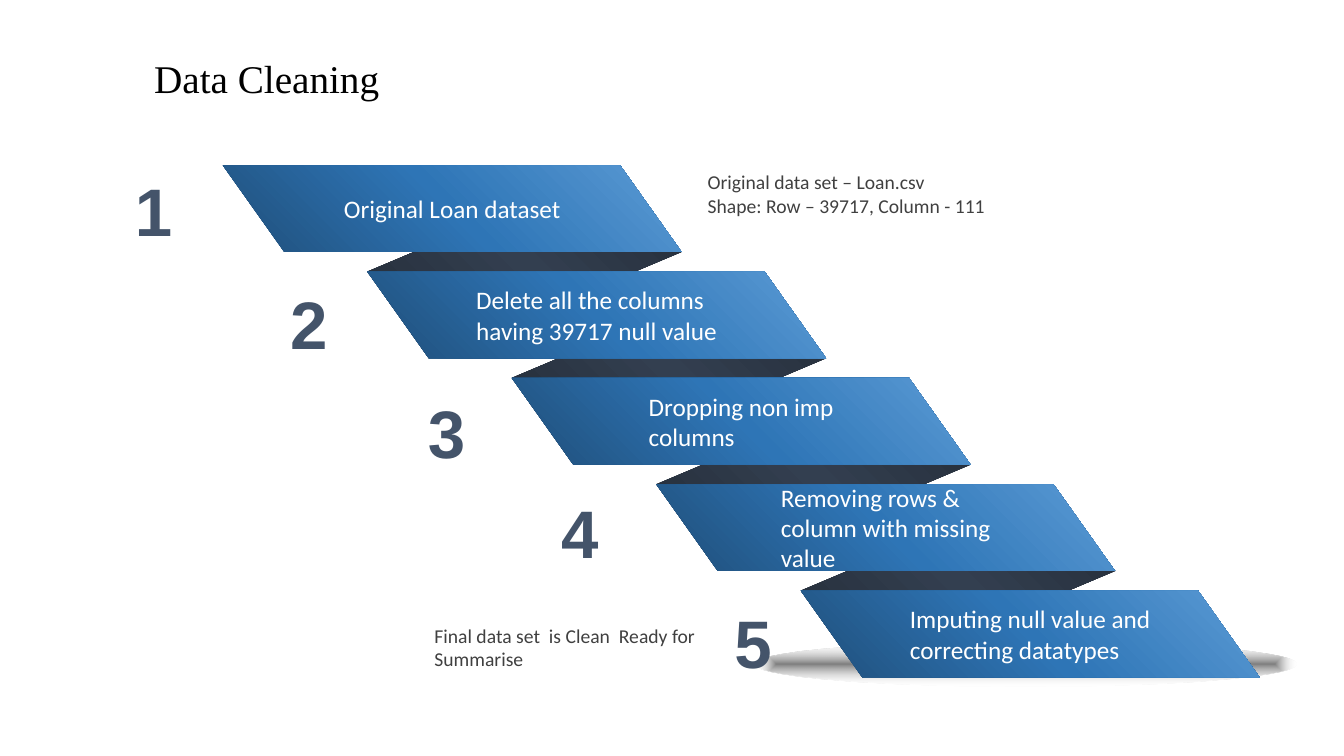
from lxml import etree
from pptx import Presentation
from pptx.dml.color import RGBColor
from pptx.enum import shapes, text
from pptx.oxml import ns
from pptx.util import Inches, Pt

BLACK = RGBColor(0x00, 0x00, 0x00)
WHITE = RGBColor(0xFF, 0xFF, 0xFF)
SLATE = RGBColor(0x44, 0x54, 0x6A)
GRAY = RGBColor(0x40, 0x40, 0x40)
SHADOW_GRAY = RGBColor(0x80, 0x80, 0x80)
NAVY = RGBColor(0x1F, 0x4E, 0x79)
BLUE = RGBColor(0x2E, 0x75, 0xB6)
SKY = RGBColor(0x5B, 0x9B, 0xD5)
FOLD_EDGE = RGBColor(0x22, 0x2A, 0x35)
FOLD_MIDDLE = RGBColor(0x33, 0x3F, 0x50)

FIRST_LEFT, FIRST_TOP = 2.21, 1.64
STEP_RIGHT, STEP_DOWN = 1.433, 1.055
FACE_WIDTH, FACE_HEIGHT, SLANT = 3.94, 0.86, 0.61

# Step wording, then left, top and width of its number
STEPS = [
    ("Original Loan dataset", 1.24, 1.63, 0.49),
    ("Delete all the columns having 39717 null value", 2.78, 2.75, 0.56),
    ("Dropping non imp columns", 4.14, 3.83, 0.58),
    ("Removing rows & column with missing value ", 5.46, 4.82, 0.58),
    ("Imputing null value and correcting datatypes", 7.18, 5.92, 0.58),
]


def add_run(paragraph, wording, font="Calibri", size=18, color=WHITE, bold=False):
    """Append a formatted run to a paragraph."""
    run = paragraph.add_run()
    run.text = wording
    run.font.name = font
    run.font.size = Pt(size)
    run.font.bold = bold
    run.font.color.rgb = color


def add_label(slide, box, lines, align=text.PP_ALIGN.LEFT, wrap=True, **style):
    """Add a text box with one paragraph for each line."""
    frame = slide.shapes.add_textbox(*map(Inches, box)).text_frame
    frame.word_wrap = wrap
    for index, line in enumerate(lines):
        paragraph = frame.add_paragraph() if index else frame.paragraphs[0]
        paragraph.alignment = align
        add_run(paragraph, line, **style)


def set_gradient(shape, colors, radial=False):
    """Fill a shape with evenly spaced colours; a radial fill fades out."""
    shape.shadow.inherit = False
    shape.line.fill.background()
    shape.fill.background()
    gradient = etree.Element(ns.qn("a:gradFill"), rotWithShape="1")
    stops = etree.SubElement(gradient, ns.qn("a:gsLst"))
    for index, color in enumerate(colors):
        position = 100000 * index // (len(colors) - 1)
        stop = etree.SubElement(stops, ns.qn("a:gs"), pos=str(position))
        value = etree.SubElement(stop, ns.qn("a:srgbClr"), val=str(color))
    if radial:
        etree.SubElement(value, ns.qn("a:alpha"), val="0")
        route = etree.SubElement(gradient, ns.qn("a:path"))
        route.set("path", "shape")
        sides = dict.fromkeys("ltrb", "50000")
        etree.SubElement(route, ns.qn("a:fillToRect"), **sides)
    else:
        etree.SubElement(gradient, ns.qn("a:lin"), ang=str(315 * 60000), scaled="0")
    properties = shape.element.spPr
    properties.replace(properties.find(ns.qn("a:noFill")), gradient)


def add_ribbon(slide, points, colors):
    """Draw a closed ribbon piece through the given points."""
    start, *others = [(Inches(x), Inches(y)) for x, y in points]
    builder = slide.shapes.build_freeform(*start)
    builder.add_line_segments(others, close=True)
    shape = builder.convert_to_shape()
    set_gradient(shape, colors)
    return shape


def face_corners(index):
    """Return the corners of a step, clockwise from the top left."""
    left = FIRST_LEFT + STEP_RIGHT * index
    top = FIRST_TOP + STEP_DOWN * index
    right, bottom = left + FACE_WIDTH, top + FACE_HEIGHT
    return [(left, top), (right, top), (right + SLANT, bottom), (left + SLANT, bottom)]


def add_fold(slide, index):
    """Add the dark fold that joins a step to the next one."""
    upper, lower = face_corners(index), face_corners(index + 1)
    points = [upper[1], upper[2], lower[3], lower[0]]
    add_ribbon(slide, points, [FOLD_EDGE, FOLD_MIDDLE, FOLD_EDGE])


def add_face(slide, index, wording):
    """Add the blue face of a step with its wording."""
    shape = add_ribbon(slide, face_corners(index), [NAVY, BLUE, SKY])
    frame = shape.text_frame
    frame.word_wrap = True
    frame.vertical_anchor = text.MSO_ANCHOR.MIDDLE
    frame.margin_left = frame.margin_right = Inches(1)
    frame.margin_top = frame.margin_bottom = Inches(0.1)
    shape.element.txBody.bodyPr.set("anchorCtr", "1")
    paragraph = frame.paragraphs[0]
    paragraph.alignment = text.PP_ALIGN.LEFT
    add_run(paragraph, wording)


def add_title(slide):
    """Place and format the slide title."""
    title = slide.shapes.title
    title.left, title.top = Inches(1.29), Inches(0.28)
    title.width, title.height = Inches(10.19), Inches(0.94)
    frame = title.text_frame
    frame.vertical_anchor = text.MSO_ANCHOR.MIDDLE
    paragraph = frame.paragraphs[0]
    paragraph.alignment = text.PP_ALIGN.LEFT
    paragraph.line_spacing = 0.9
    style = {"font": "Times New Roman", "color": BLACK}
    add_run(paragraph, " ", size=40, bold=True, **style)
    add_run(paragraph, "Data Cleaning", size=28, **style)


def main():
    """Build the slide and save it."""
    presentation = Presentation()
    presentation.slide_width = Inches(13.33)
    presentation.slide_height = Inches(7.5)
    slide = presentation.slides.add_slide(presentation.slide_layouts[5])
    add_title(slide)

    for index in range(len(STEPS) - 1):
        add_fold(slide, index)
    ground = slide.shapes.add_shape(
        shapes.MSO_SHAPE.OVAL, *map(Inches, (7.48, 6.37, 5.38, 0.44)))
    set_gradient(ground, [SHADOW_GRAY, WHITE], radial=True)

    for index, (wording, left, top, width) in enumerate(STEPS):
        add_face(slide, index, wording)
        add_label(slide, (left, top, width, 0.91), [str(index + 1)],
                  align=text.PP_ALIGN.CENTER, wrap=False,
                  font="Arial", size=48, color=SLATE, bold=True)

    add_label(slide, (6.92, 1.64, 3.77, 0.57),
              ["Original data set – Loan.csv", "Shape: Row – 39717, Column - 111"],
              size=14, color=GRAY)
    add_label(slide, (4.21, 6.14, 3.26, 0.57),
              ["Final data set  is Clean  Ready for Summarise"],
              size=14, color=GRAY)
    presentation.save("out.pptx")


main()
